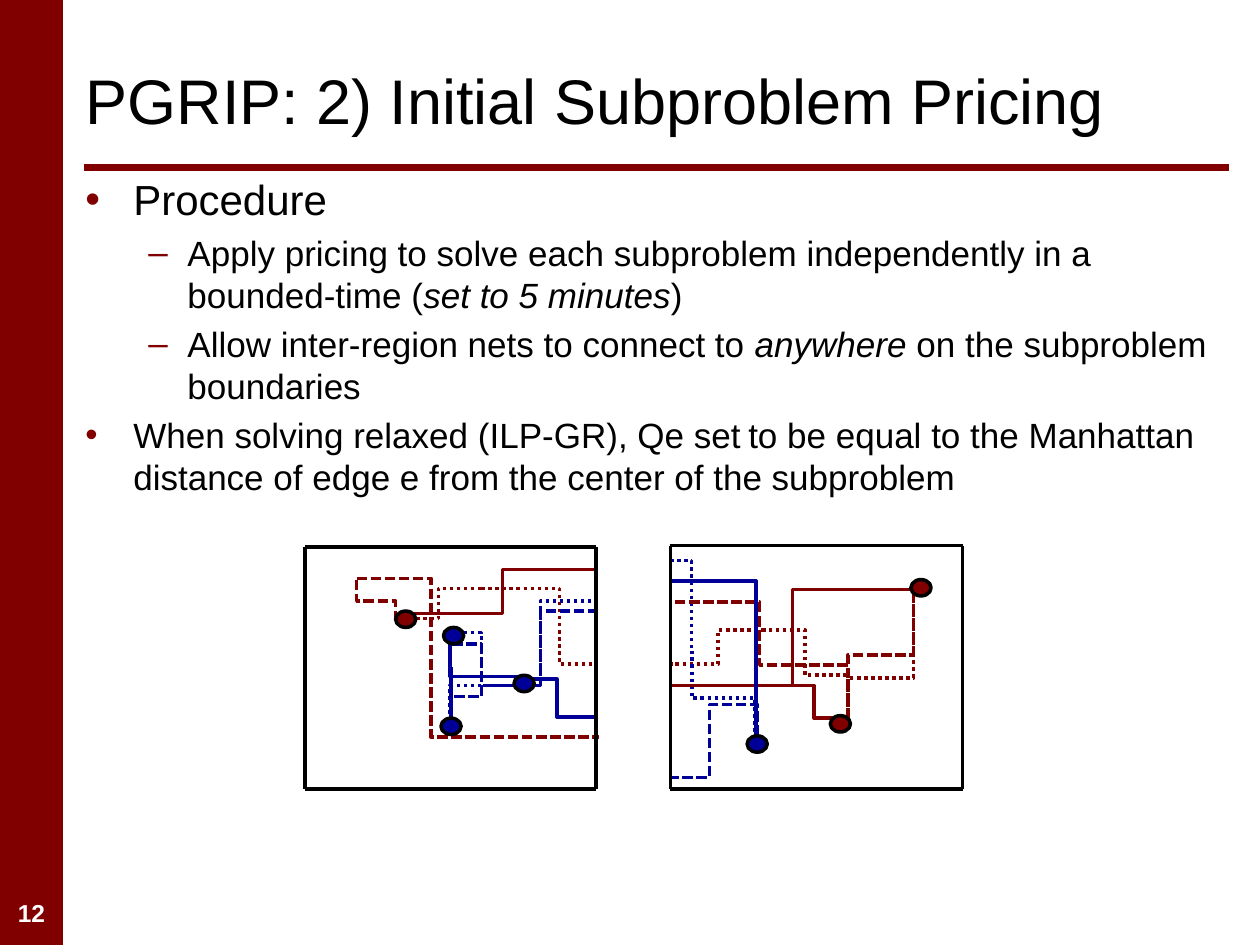
import pptx
import pptx.dml.color
import pptx.enum.dml
import pptx.enum.shapes
import pptx.enum.text
import pptx.oxml.ns
import pptx.util
from lxml import etree

Inches = pptx.util.Inches
Pt = pptx.util.Pt
RGBColor = pptx.dml.color.RGBColor
qn = pptx.oxml.ns.qn
PP_ALIGN = pptx.enum.text.PP_ALIGN
MSO_ANCHOR = pptx.enum.text.MSO_ANCHOR
MSO_SHAPE = pptx.enum.shapes.MSO_SHAPE
MSO_CONNECTOR = pptx.enum.shapes.MSO_CONNECTOR

MAROON = RGBColor(0x80, 0x00, 0x00)
NAVY = RGBColor(0x00, 0x00, 0x99)
BLACK = RGBColor(0x00, 0x00, 0x00)
WHITE = RGBColor(0xFF, 0xFF, 0xFF)
DOT = pptx.enum.dml.MSO_LINE.ROUND_DOT
DASH = pptx.enum.dml.MSO_LINE.SQUARE_DOT
SOLID = None


class Deck:
    """Style and current slide, with one method per kind of element."""
    font = "Arial"
    line_width = 2

    def __init__(self, prs):
        self.slide = prs.slides.add_slide(prs.slide_layouts[5])
        self.shapes = self.slide.shapes

    def style_run(self, r, size, color=BLACK, bold=False, italic=False):
        r.font.name = self.font
        r.font.size = Pt(size)
        r.font.color.rgb = color
        r.font.bold = bold
        r.font.italic = italic

    def style_line(self, sp, color, dash=SOLID, width=line_width):
        sp.line.color.rgb = color
        sp.line.width = Pt(width)
        if dash is not None:
            sp.line.dash_style = dash

    def title(self, text, left, top, width, height):
        sp = self.shapes.title
        sp.left, sp.top, sp.width, sp.height = map(Inches, (left, top, width, height))
        tf = sp.text_frame
        tf.text = text
        tf.auto_size = pptx.enum.text.MSO_AUTO_SIZE.NONE
        tf.vertical_anchor = MSO_ANCHOR.MIDDLE
        tf.paragraphs[0].alignment = PP_ALIGN.LEFT
        self.style_run(tf.paragraphs[0].runs[0], 36)

    def textbox(self, left, top, width, height):
        sp = self.shapes.add_textbox(*map(Inches, (left, top, width, height)))
        sp.text_frame.word_wrap = True
        return sp.text_frame

    def bullet(self, p, char, indent, hanging, pieces):
        pPr = p._p.get_or_add_pPr()
        pPr.set("marL", str(Inches(indent)))
        pPr.set("indent", str(-Inches(hanging)))
        clr = etree.SubElement(pPr, qn("a:buClr"))
        etree.SubElement(clr, qn("a:srgbClr")).set("val", str(MAROON))
        etree.SubElement(pPr, qn("a:buFont")).set("typeface", self.font)
        etree.SubElement(pPr, qn("a:buChar")).set("char", char)
        for text, size, italic in pieces:
            r = p.add_run()
            r.text = text
            self.style_run(r, size, italic=italic)

    def shape(self, kind, left, top, width, height, fill):
        sp = self.shapes.add_shape(kind, *map(Inches, (left, top, width, height)))
        sp.shadow.inherit = False
        sp.fill.solid()
        sp.fill.fore_color.rgb = fill
        sp.line.fill.background()
        return sp

    def pin(self, left, top, fill):
        sp = self.shape(MSO_SHAPE.OVAL, left, top, 0.16, 0.13, fill)
        self.style_line(sp, BLACK)

    def connector(self, kind, ends, color, dash=SOLID, width=line_width):
        c = self.shapes.add_connector(kind, *map(Inches, ends))
        self.style_line(c, color, dash, width)
        etree.SubElement(c._element.spPr, qn("a:effectLst"))
        return c

    def line(self, x1, y1, x2, y2, color, width=line_width):
        self.connector(MSO_CONNECTOR.STRAIGHT, (x1, y1, x2, y2), color, width=width)

    def elbow(self, color, dash, axis, x1, y1, bend, x2, y2):
        """Two-bend wire; its middle leg lies at x = bend (axis h) or y = bend (axis v)."""
        dx, dy = x2 - x1, y2 - y1
        if axis == "h":
            ends, ratio, turn = (x1, y1, x2, y2), (bend - x1) / dx, 0
        else:
            # Turned a quarter about its centre, so the sides swap
            cx, cy = (x1 + x2) / 2, (y1 + y2) / 2
            sx = -1 if dx > 0 else 1
            sy = -1 if dy < 0 else 1
            hw, hh = sx * abs(dy) / 2, sy * abs(dx) / 2
            ends = (cx - hw, cy - hh, cx + hw, cy + hh)
            ratio = (bend - y1) / dy
            turn = 90 if dx > 0 and dy < 0 else 270
        c = self.connector(MSO_CONNECTOR.ELBOW, ends, color, dash)
        spPr = c._element.spPr
        if turn:
            spPr.find(qn("a:xfrm")).set("rot", str(turn * 60000))
        gd = etree.SubElement(spPr.find(qn("a:prstGeom")).find(qn("a:avLst")), qn("a:gd"))
        gd.set("name", "adj1")
        gd.set("fmla", f"val {round(ratio * 100000)}")

    def polyline(self, color, dash, points):
        start, *rest = [(Inches(x), Inches(y)) for x, y in points]
        fb = self.shapes.build_freeform(*start)
        fb.add_line_segments(rest, close=False)
        sp = fb.convert_to_shape()
        sp.shadow.inherit = False
        sp.fill.background()
        self.style_line(sp, color, dash)

    def frame(self, left, top, right, bottom):
        corners = [(left, top), (right, top), (right, bottom), (left, bottom)]
        for start, end in zip(corners, corners[1:] + corners[:1]):
            self.line(*start, *end, BLACK)


# Wires: color, dash, axis, start x, start y, bend, end x, end y
ELBOWS = [
    (MAROON, DOT, "h", 6.07, 5, 5.7, 5.33, 5.27),
    (MAROON, DOT, "v", 6.73, 5.7, 5.38, 7.25, 4.67),
    (MAROON, DOT, "h", 3.82, 4.67, 4.44, 4.75, 5.27),
    (MAROON, DOT, "h", 3.82, 4.67, 3.48, 3.13, 4.91),
    (NAVY, DOT, "h", 4.75, 4.77, 4.29, 3.83, 5.44),
    (NAVY, DOT, "v", 5.99, 5.92, 5.54, 5.49, 5.17),
    (MAROON, DOT, "h", 6.72, 5.36, 6.39, 6.07, 5),
    (NAVY, DOT, "v", 5.33, 4.44, 4.45, 5.49, 5.17),
    (MAROON, DASH, "v", 6.73, 5.72, 5.2, 7.25, 4.69),
    (MAROON, DASH, "h", 6.73, 5.28, 6.03, 5.33, 4.78),
    (MAROON, DASH, "h", 2.83, 4.59, 3.42, 4.75, 5.85),
    (MAROON, DASH, "v", 2.83, 4.6, 4.77, 3.14, 4.93),
    (NAVY, DASH, "h", 4.75, 4.85, 4.29, 3.83, 5.44),
    (MAROON, SOLID, "h", 3.22, 4.87, 3.99, 4.75, 4.52),
    (NAVY, SOLID, "h", 4.75, 5.69, 4.42, 4.08, 5.39),
    (MAROON, SOLID, "h", 5.33, 5.44, 6.29, 7.25, 4.68),
    (MAROON, SOLID, "h", 6.25, 5.44, 6.46, 6.67, 5.7),
]
POLYLINES = [
    (NAVY, DOT, [(3.57, 5.02), (3.82, 5.02), (3.82, 5.44), (3.57, 5.44), (3.57, 5.67)]),
    (NAVY, DASH, [(3.59, 5.11), (3.82, 5.11), (3.82, 5.53), (3.58, 5.53), (3.58, 5.76)]),
    (NAVY, DASH, [(6.01, 5.84), (6.01, 5.59), (5.63, 5.59), (5.63, 6.17), (5.33, 6.17)]),
    (NAVY, SOLID, [(4.16, 5.37), (3.57, 5.37), (3.57, 5.03)]),
    (NAVY, SOLID, [(6, 5.86), (6, 4.61), (5.33, 4.61)]),
]
PINS = {
    MAROON: [(3.14, 4.85), (6.59, 5.68), (7.23, 4.6)],
    NAVY: [(4.08, 5.36), (3.52, 4.98), (3.5, 5.7), (5.93, 5.84)],
}
TOP = ("•", 0.38, 0.38)
SUB = ("–", 0.81, 0.31)
BULLETS = [
    (TOP, [("Procedure", 24, False)]),
    (SUB, [("Apply pricing to solve each subproblem independently in a bounded-time (", 20, False),
           ("set to 5 minutes", 20, True), (")", 20, False)]),
    (SUB, [("Allow inter-region nets to connect to ", 20, False),
           ("anywhere", 20, True), (" on the subproblem boundaries", 20, False)]),
    (TOP, [("When solving relaxed (ILP-GR), Qe set", 20, False), (" ", 14, False),
           ("to be equal to the Manhattan distance of edge e from the center "
            "of the subproblem", 20, False)]),
]


def main():
    prs = pptx.Presentation()
    prs.slide_width, prs.slide_height = Inches(10), Inches(7.5)
    s = Deck(prs)

    # Side band, page number, title and rule
    s.shape(MSO_SHAPE.RECTANGLE, 0, 0, 0.5, 7.5, MAROON)
    s.line(0.67, 1.33, 9.75, 1.33, MAROON, width=4)
    tf = s.textbox(0, 7.08, 0.5, 0.33)
    tf.text = "12"
    tf.paragraphs[0].alignment = PP_ALIGN.CENTER
    s.style_run(tf.paragraphs[0].runs[0], 14, WHITE, bold=True)
    s.title("PGRIP: 2) Initial Subproblem Pricing", 0.58, 0.25, 9.17, 1.08)

    # Bullets
    tf = s.textbox(0.58, 1.33, 9.17, 5.83)
    for i, (level, pieces) in enumerate(BULLETS):
        p = tf.add_paragraph() if i else tf.paragraphs[0]
        s.bullet(p, *level, pieces)
        if i:
            p.space_before = Pt(4)

    # Wires of the two subproblems
    for wire in ELBOWS:
        s.elbow(*wire)
    for wire in POLYLINES:
        s.polyline(*wire)
    s.line(3.58, 5.66, 3.58, 5.29, NAVY)

    # Subproblem boundaries and pins
    s.frame(5.32, 4.33, 7.64, 6.26)
    s.frame(2.42, 4.34, 4.73, 6.26)
    for color, places in PINS.items():
        for left, top in places:
            s.pin(left, top, color)

    prs.save("out.pptx")


if __name__ == "__main__":
    main()
